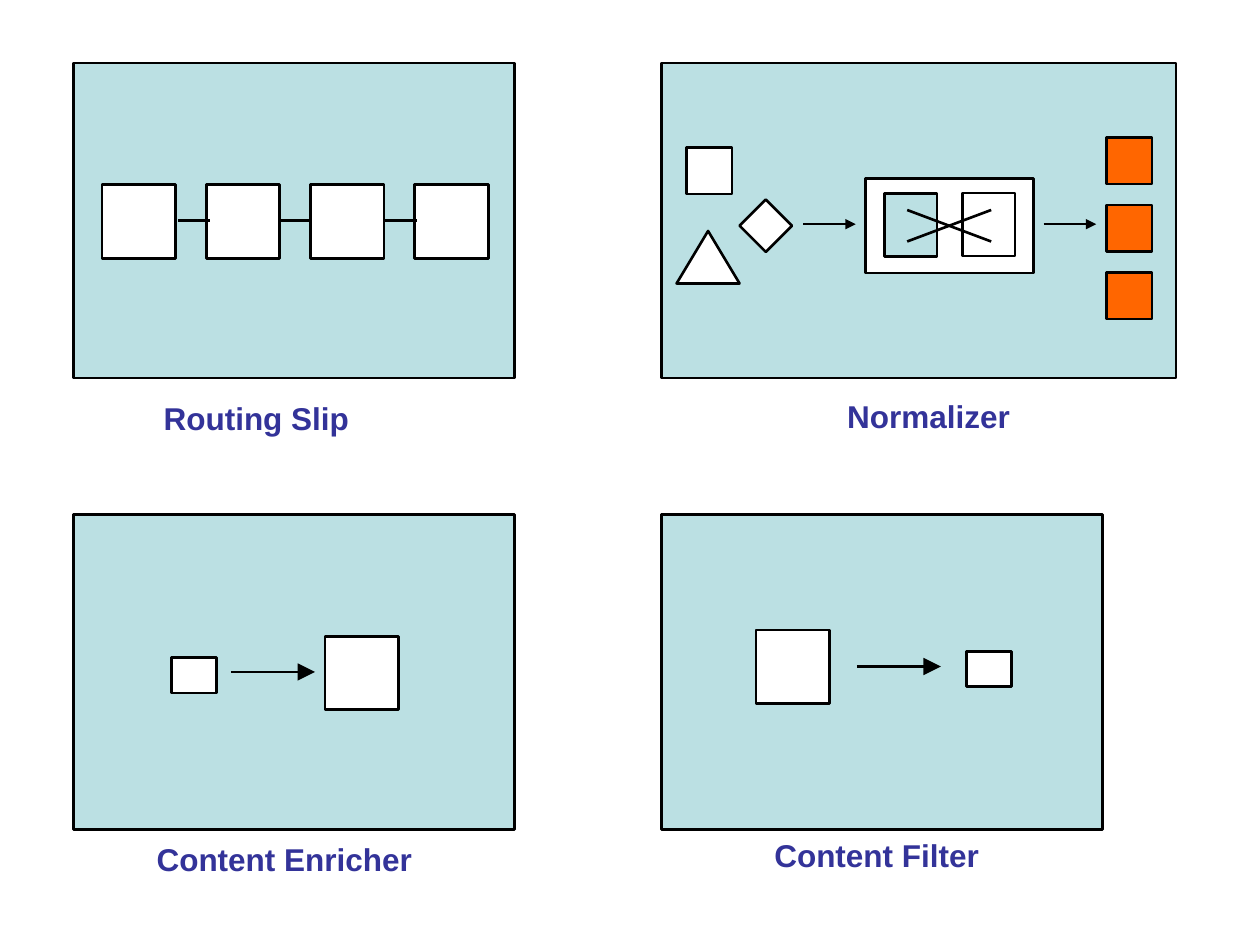
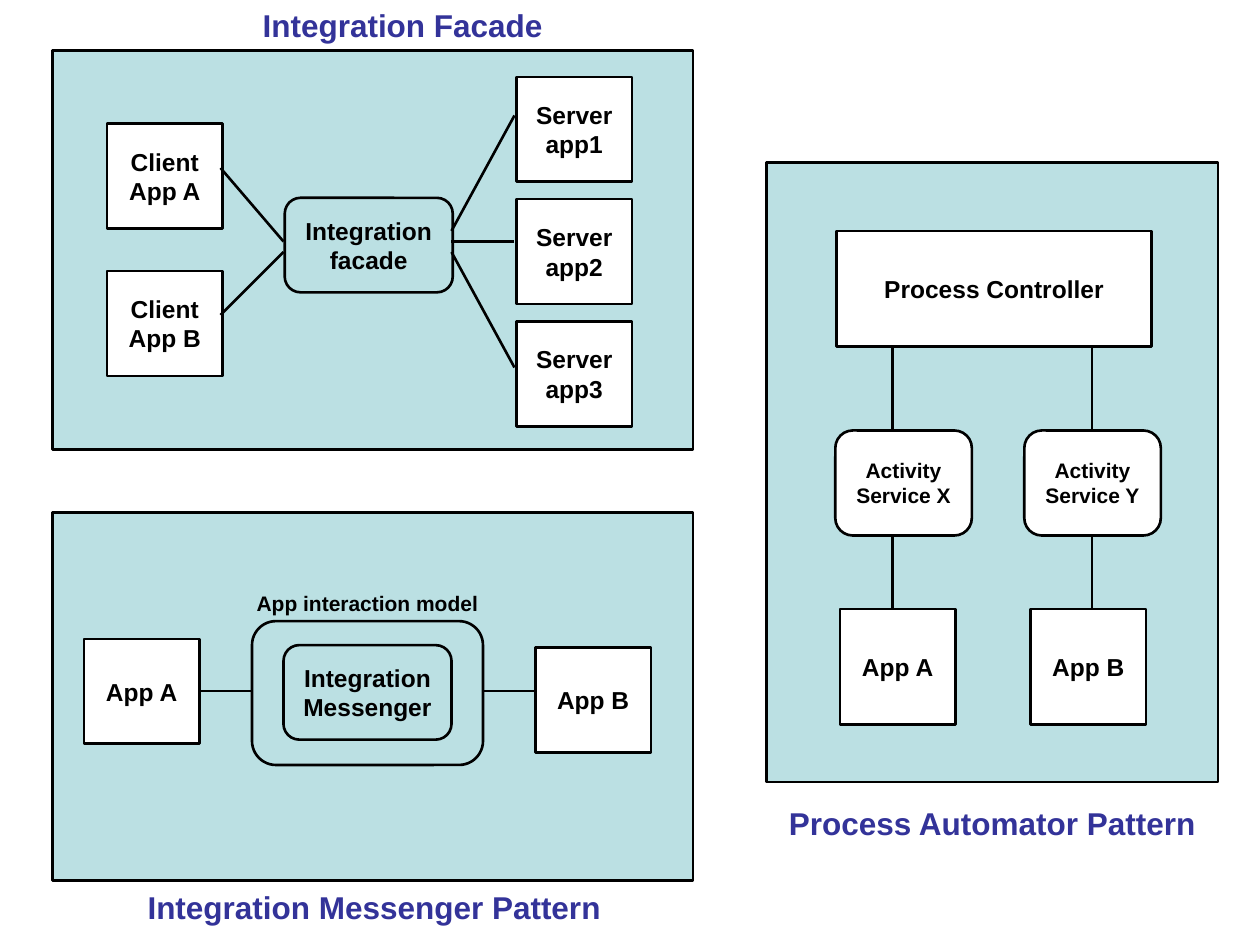
from dataclasses import dataclass

from lxml.etree import SubElement
from pptx import Presentation
from pptx.dml.color import RGBColor
from pptx.enum.shapes import MSO_CONNECTOR, MSO_SHAPE
from pptx.enum.text import MSO_ANCHOR, PP_ALIGN
from pptx.oxml.ns import qn
from pptx.util import Inches, Pt


@dataclass(frozen=True)
class Theme:
    panel: RGBColor = RGBColor(0xBB, 0xE0, 0xE3)
    box: RGBColor = RGBColor(0xFF, 0xFF, 0xFF)
    normalized: RGBColor = RGBColor(0xFF, 0x66, 0x00)
    ink: RGBColor = RGBColor(0, 0, 0)
    caption: RGBColor = RGBColor(0x33, 0x33, 0x99)
    font: str = "Arial"
    caption_size: int = 18
    label_size: int = 14
    small_size: int = 12
    line_width: float = 1.5


THEME = Theme()
COLUMNS, ROWS = 120, 90
WIDTH, HEIGHT = Inches(10), Inches(7.5)
LARGE = (7, 7)
SMALL = (4.32, 3.36)
MESSAGE = (4.32, 4.44)
APP = (11, 10)
HUB = (16, 9)


def col(n):
    return round(WIDTH * n / COLUMNS)


def row(n):
    return round(HEIGHT * n / ROWS)


def write(tf, text, size=THEME.label_size, color=THEME.ink, wrap=False):
    tf.word_wrap = wrap
    for i, line in enumerate(text.split("\n")):
        p = tf.paragraphs[0] if i == 0 else tf.add_paragraph()
        p.alignment = PP_ALIGN.CENTER
        r = p.add_run()
        r.text = line
        r.font.name = THEME.font
        r.font.size = Pt(size)
        r.font.bold = True
        r.font.color.rgb = color


def box(s, x, y, size, text="", kind=MSO_SHAPE.RECTANGLE, fill=THEME.box,
        text_size=THEME.label_size):
    w, h = size
    sp = s.shapes.add_shape(kind, col(x), row(y), col(w), row(h))
    sp.shadow.inherit = False
    sp.fill.solid()
    sp.fill.fore_color.rgb = fill
    sp.line.color.rgb = THEME.ink
    sp.line.width = Pt(THEME.line_width)
    if text:
        sp.text_frame.vertical_anchor = MSO_ANCHOR.MIDDLE
        write(sp.text_frame, text, size=text_size)


def panel(s, x, y, w, h):
    box(s, x, y, (w, h), fill=THEME.panel)


def rounded(s, x, y, size, text="", **style):
    box(s, x, y, size, text, kind=MSO_SHAPE.ROUNDED_RECTANGLE, **style)


def caption(s, x, y, w, text, size=THEME.caption_size, color=THEME.caption, h=4.8):
    sp = s.shapes.add_textbox(col(x), row(y), col(w), row(h))
    write(sp.text_frame, text, size=size, color=color, wrap=True)


def line(s, x1, y1, x2, y2, head=None):
    c = s.shapes.add_connector(MSO_CONNECTOR.STRAIGHT,
                               col(x1), row(y1), col(x2), row(y2))
    c.line.color.rgb = THEME.ink
    c.line.width = Pt(THEME.line_width)
    if head:
        SubElement(c.line._get_or_add_ln(), qn("a:tailEnd"),
                   type="triangle", w=head, len=head)
    SubElement(c._element.spPr, qn("a:effectLst"))


def routing_slip(s):
    panel(s, 7, 6, 42, 30)
    for i in range(4):
        box(s, 9.72 + 9.93 * i, 17.6, LARGE)
    for x in (17, 26.7, 36.7):
        line(s, x, 21, x + 3, 21)
    caption(s, 13.8, 37.44, 21.24, "Routing Slip")


def normalizer(s):
    panel(s, 63, 6, 49, 30)
    box(s, 65.4, 14.04, MESSAGE)
    box(s, 64.44, 22, (6, 5), kind=MSO_SHAPE.ISOSCELES_TRIANGLE)
    box(s, 70.44, 19, (5, 5), kind=MSO_SHAPE.DIAMOND)
    box(s, 82.44, 17, HUB)
    box(s, 84.24, 18.44, (5, 6), fill=THEME.panel)
    box(s, 91.68, 18.4, (5, 6))
    line(s, 86.4, 20, 94.4, 23)
    line(s, 86.4, 23, 94.4, 20)
    for i in range(3):
        box(s, 105.4, 13.08 + 6.44 * i, MESSAGE, fill=THEME.normalized)
    for x in (76.5, 99.4):
        line(s, x, 21.35, x + 5, 21.35, head="med")
    caption(s, 78.96, 37.2, 18.96, "Normalizer")


def content_enricher(s):
    panel(s, 7, 49, 42, 30)
    box(s, 30.96, 60.6, LARGE)
    box(s, 16.32, 62.64, SMALL)
    line(s, 22, 64, 30, 64, head="lg")
    caption(s, 13.08, 79.44, 28, "Content Enricher")


def content_filter(s):
    panel(s, 63, 49, 42, 30)
    box(s, 72, 60, LARGE)
    box(s, 92.04, 62.04, SMALL)
    line(s, 81.6, 63.48, 89.6, 63.48, head="lg")
    caption(s, 72, 79, 23, "Content Filter")


def integration_facade(s):
    panel(s, 5, 4.8, 61, 38)
    rounded(s, 27.12, 18.84, HUB, "Integration\nfacade", fill=THEME.panel)
    for i in range(3):
        box(s, 49.2, 7.32 + 11.64 * i, APP, f"Server\napp{i + 1}")
    for i, name in enumerate("AB"):
        box(s, 10.2, 11.76 + 14.04 * i, APP, f"Client\nApp {name}")
    for client_y, hub_y in ((16, 23), (30, 24)):
        line(s, 21, client_y, 27, hub_y)
    for hub_y, server_y in ((22, 11), (23, 23), (24, 35)):
        line(s, 43, hub_y, 49, server_y)
    caption(s, 21.6, 0, 33.5, "Integration Facade")


def integration_messenger(s):
    panel(s, 5, 48.84, 61, 35)
    box(s, 8, 60.84, APP, "App A")
    box(s, 51, 61.68, APP, "App B")
    rounded(s, 24, 59.16, (22, 13.7), fill=THEME.panel)
    rounded(s, 27, 61.44, HUB, "Integration\nMessenger", fill=THEME.panel)
    caption(s, 23, 55.7, 24, "App interaction model",
            size=THEME.small_size, color=THEME.ink, h=3.6)
    for x in (19, 46):
        line(s, x, 65.8, x + 5, 65.8)
    caption(s, 11.28, 84, 48.72, "Integration Messenger Pattern")


def process_automator(s):
    panel(s, 73, 15.48, 43, 59)
    box(s, 79.68, 22, (30, 11), "Process Controller")
    branches = (("X", "A", 79.56, 80, 85), ("Y", "B", 97.56, 98.16, 104))
    for service, app, service_x, app_x, line_x in branches:
        rounded(s, service_x, 41, (13, 10), f"Activity\nService {service}",
                text_size=THEME.small_size)
        box(s, app_x, 58, (11, 11), f"App {app}")
        line(s, line_x, 33, line_x, 41)
        line(s, line_x, 51, line_x, 58)
    caption(s, 73, 76, 43, "Process Automator Pattern")


def main():
    prs = Presentation()
    prs.slide_width, prs.slide_height = WIDTH, HEIGHT
    slides = (
        (routing_slip, normalizer, content_enricher, content_filter),
        (integration_facade, integration_messenger, process_automator),
    )
    for patterns in slides:
        s = prs.slides.add_slide(prs.slide_layouts[6])
        for draw in patterns:
            draw(s)
    prs.save("out.pptx")


if __name__ == "__main__":
    main()
